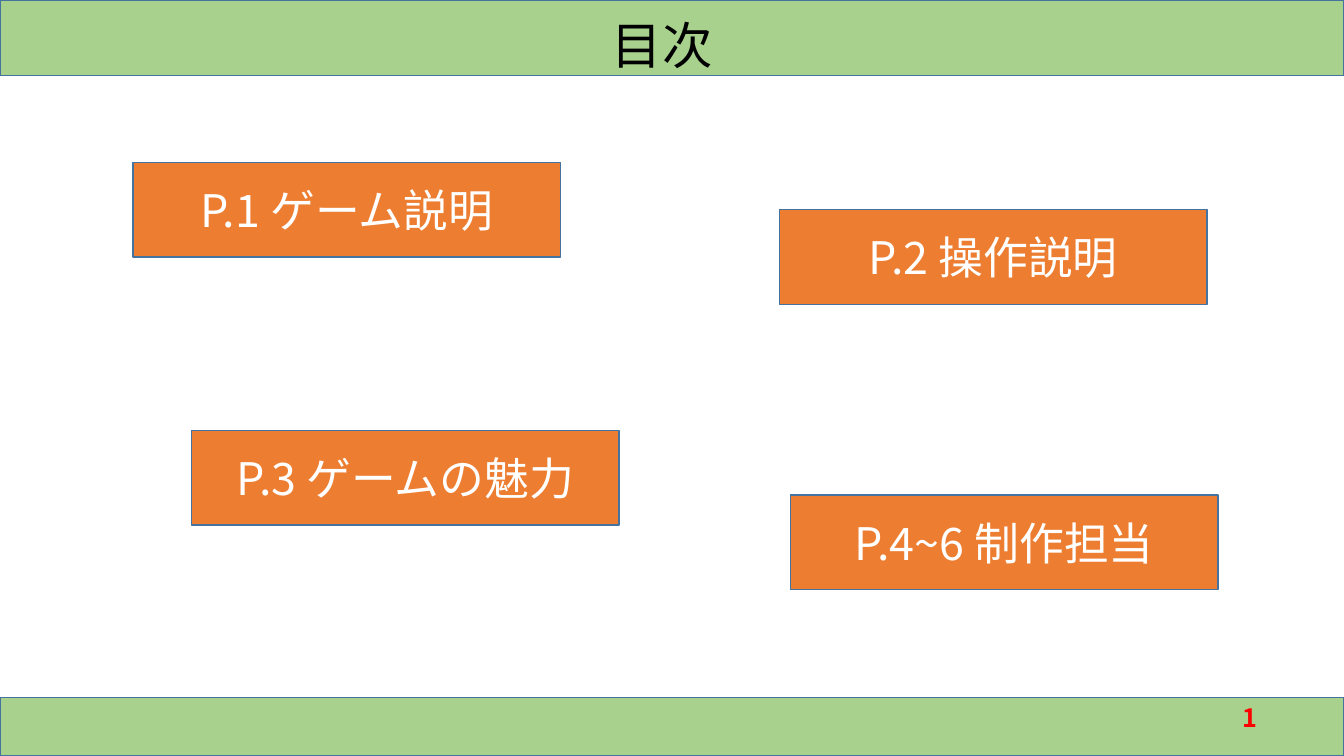
from dataclasses import dataclass

from lxml import etree
from pptx import Presentation
from pptx.dml.color import RGBColor
from pptx.enum.shapes import MSO_SHAPE
from pptx.enum.text import MSO_ANCHOR, MSO_AUTO_SIZE, PP_ALIGN
from pptx.oxml.ns import qn
from pptx.util import Inches, Pt

RECTANGLE = MSO_SHAPE.RECTANGLE
MIDDLE = MSO_ANCHOR.MIDDLE
GROW = MSO_AUTO_SIZE.SHAPE_TO_FIT_TEXT
CENTER = PP_ALIGN.CENTER


@dataclass(frozen=True)
class Theme:
    """Colours, font and type sizes of the slide."""
    font: str = "Noto Sans CJK JP"
    band: RGBColor = RGBColor.from_string("A9D18E")
    card: RGBColor = RGBColor.from_string("ED7D31")
    outline: RGBColor = RGBColor.from_string("43739E")
    title: RGBColor = RGBColor.from_string("000000")
    label: RGBColor = RGBColor.from_string("FFFFFF")
    number: RGBColor = RGBColor.from_string("FF0000")
    title_size: int = 36
    label_size: int = 32
    number_size: int = 18


THEME = Theme()
WIDTH, HEIGHT = 13.33, 7.5
HEADER_HEIGHT = 0.75
FOOTER_TOP = 6.92
CARD_WIDTH, CARD_HEIGHT = 4.24, 0.94
CONTENTS = [
    ("P.1 ゲーム説明", 1.32, 1.61),
    ("P.2 操作説明", 7.73, 2.08),
    ("P.3 ゲームの魅力", 1.9, 4.27),
    ("P.4~6 制作担当", 7.84, 4.91),
]


def write_text(shape, text, size, color, bold=False):
    """Write one formatted span and return its paragraph."""
    para = shape.text_frame.paragraphs[0]
    span = para.add_run()
    span.text = text
    formats = {"name": THEME.font, "size": Pt(size), "bold": bold}
    for name, value in formats.items():
        setattr(span.font, name, value)
    span.font.color.rgb = color
    latin = span.font._element.find(qn("a:latin"))
    east_asian = etree.Element(qn("a:ea"), typeface=THEME.font)
    latin.addnext(east_asian)
    return para


def add_block(page, left, top, width, height, fill):
    """Add an outlined rectangle."""
    block = page.shapes.add_shape(
        RECTANGLE, Inches(left), Inches(top), Inches(width), Inches(height))
    block.shadow.inherit = False
    block.fill.solid()
    block.fill.fore_color.rgb = fill
    block.line.color.rgb = THEME.outline
    block.line.width = Pt(1)
    return block


def add_card(page, text, left, top):
    """Add a contents entry with a centred label."""
    card = add_block(page, left, top, CARD_WIDTH, CARD_HEIGHT, THEME.card)
    card.text_frame.vertical_anchor = MIDDLE
    para = write_text(card, text, THEME.label_size, THEME.label)
    para.alignment = CENTER


def add_text(page, text, place, size, color, wrap=True, bold=False):
    """Add a text box that grows with its text."""
    box = page.shapes.add_textbox(*map(Inches, place))
    box.text_frame.word_wrap = wrap
    box.text_frame.auto_size = GROW
    write_text(box, text, size, color, bold)


def main():
    """Build the contents slide and save the deck."""
    deck = Presentation()
    deck.slide_width, deck.slide_height = Inches(WIDTH), Inches(HEIGHT)
    page = deck.slides.add_slide(deck.slide_layouts[6])
    add_block(page, 0, 0, WIDTH, HEADER_HEIGHT, THEME.band)
    add_block(page, 0, FOOTER_TOP, WIDTH, HEIGHT - FOOTER_TOP, THEME.band)
    add_text(page, "目次", (5.97, 0.09, 1.39, 0.71),
             THEME.title_size, THEME.title)
    for text, left, top in CONTENTS:
        add_card(page, text, left, top)
    add_text(page, "1", (12.22, FOOTER_TOP, 0.35, 0.4),
             THEME.number_size, THEME.number, wrap=False, bold=True)
    deck.save("out.pptx")


if __name__ == "__main__":
    main()
